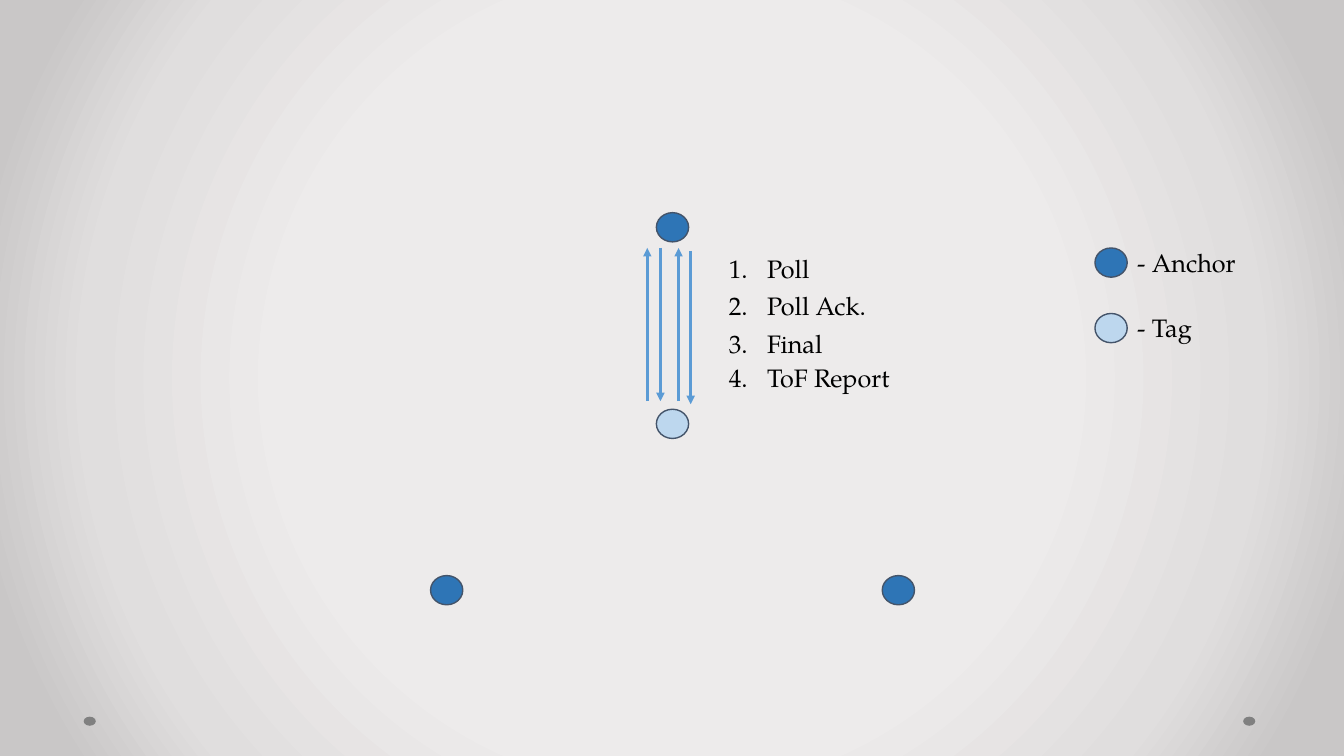
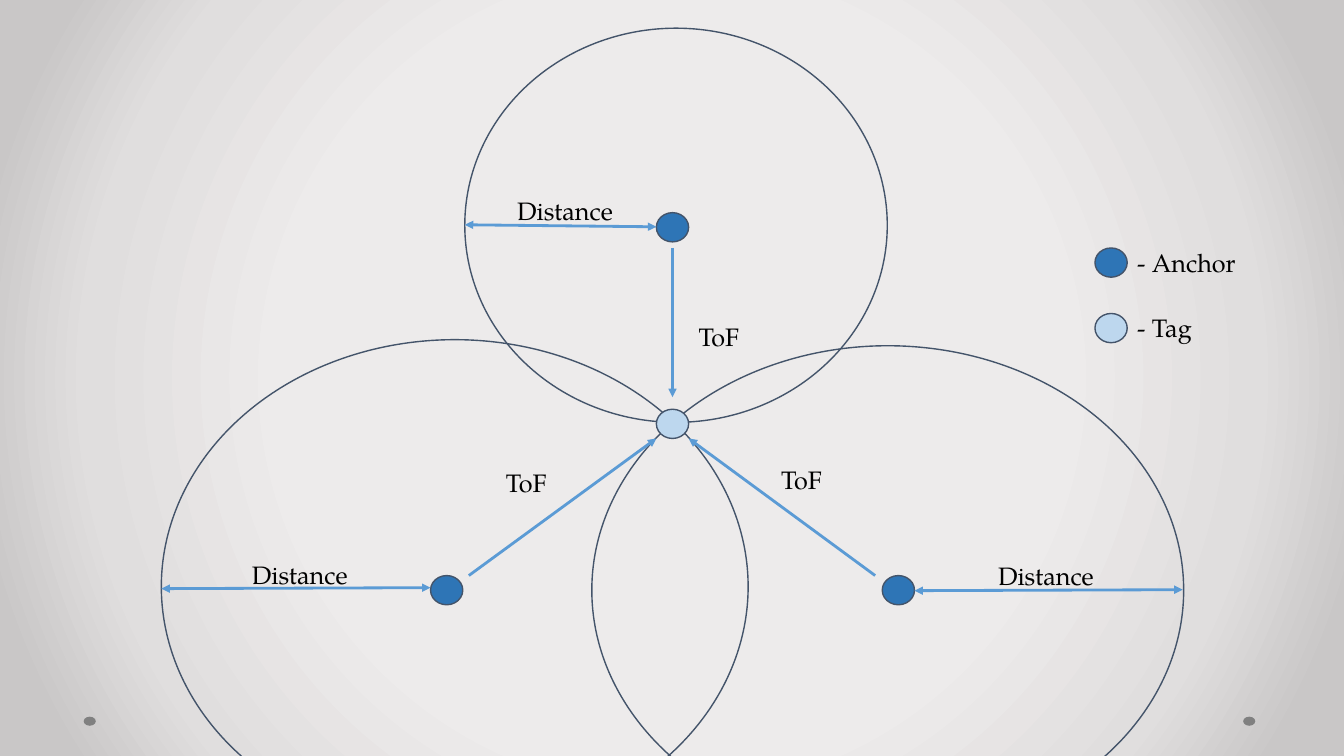
from dataclasses import dataclass

from lxml.etree import SubElement
from pptx import Presentation
from pptx.dml.color import RGBColor as RGB
from pptx.enum.shapes import MSO_CONNECTOR as CONNECTOR, MSO_SHAPE as SHAPE
from pptx.enum.text import MSO_AUTO_SIZE as AUTO_SIZE
from pptx.oxml.ns import qn
from pptx.slide import Slide, SlideMaster
from pptx.util import Inches, Pt


@dataclass(frozen=True)
class Theme:
    font: str = "TeX Gyre Pagella"
    text_size: int = 18
    outline_width: float = 1
    arrow_width: float = 2
    text: str = "000000"
    anchor: str = "2E75B6"
    tag: str = "BDD7EE"
    outline: str = "44546A"
    arrow: str = "5B9BD5"
    dot: str = "808080"
    backdrop: tuple[tuple[int, str], ...] = ((50, "EDEBEB"), (76, "E0DEDE"), (92, "C9C7C7"))


@dataclass(frozen=True)
class Oval:
    left: float
    top: float
    width: float = 0.32
    height: float = 0.29
    fill: str | None = None
    line: str | None = None


@dataclass(frozen=True)
class Arrow:
    x1: float
    y1: float
    x2: float
    y2: float
    double: bool = False


@dataclass(frozen=True)
class Label:
    text: str
    left: float
    top: float
    width: float = 2.15
    number: int | None = None


THEME = Theme()
TEXT_HEIGHT = 0.4
NUMBER_INDENT = 0.38
LEGEND_LEFT, LEGEND_WIDTH = 11.18, 1.32

FOOTER_DOTS = [Oval(left, 7.11, 0.12, 0.09, THEME.dot) for left in (12.33, 0.83)]
ANCHORS = [
    Oval(left, top, fill=THEME.anchor, line=THEME.outline)
    for left, top in ((6.51, 2.11), (4.27, 5.71), (8.75, 5.71), (10.86, 2.46))
]
TAGS = [
    Oval(left, top, fill=THEME.tag, line=THEME.outline)
    for left, top in ((6.51, 4.06), (10.86, 3.11))
]
LEGEND = [
    Label("- Anchor", LEGEND_LEFT, 2.4, LEGEND_WIDTH),
    Label("- Tag", LEGEND_LEFT, 3.05, LEGEND_WIDTH),
]

MESSAGE_ARROWS = [
    Arrow(6.42, 3.98, 6.42, 2.46),
    Arrow(6.55, 2.46, 6.55, 3.98),
    Arrow(6.73, 3.98, 6.73, 2.46),
    Arrow(6.85, 2.49, 6.85, 4.01),
]
MESSAGES = [
    Label(text, 7.13, top, number=number)
    for number, (text, top) in enumerate(
        (("Poll", 2.46), ("Poll Ack.", 2.83), ("Final", 3.21), ("ToF Report", 3.55)), 1
    )
]

RANGE_CIRCLES = [
    Oval(*box, line=THEME.outline)
    for box in ((1.6, 3.37, 5.82, 4.9), (5.87, 3.43, 5.87, 4.85), (4.61, 0.28, 4.19, 3.91))
]
RANGE_ARROWS = [
    Arrow(4.65, 5.71, 6.51, 4.35),
    Arrow(8.68, 5.71, 6.83, 4.35),
    Arrow(6.67, 2.46, 6.67, 3.94),
    Arrow(11.73, 5.85, 9.07, 5.86, double=True),
    Arrow(4.27, 5.83, 1.6, 5.84, double=True),
    Arrow(6.51, 2.25, 4.61, 2.23, double=True),
]
RANGE_LABELS = [
    Label("ToF", 7.65, 4.56),
    Label("ToF", 4.92, 4.59),
    Label("ToF", 6.83, 3.14),
    Label("Distance", 2.4, 5.5),
    Label("Distance", 5.03, 1.89),
    Label("Distance", 9.8, 5.51),
]


def color(value: str) -> RGB:
    return RGB.from_string(value)


def paint_backdrop(master: SlideMaster) -> None:
    master.background.fill.gradient()
    grad = master.element.xpath("p:cSld/p:bg//a:gradFill")[0]
    for child in list(grad):
        grad.remove(child)
    stops = SubElement(grad, qn("a:gsLst"))
    for position, value in THEME.backdrop:
        stop = SubElement(stops, qn("a:gs"), pos=str(position * 1000))
        SubElement(stop, qn("a:srgbClr"), val=value)
    circle = SubElement(grad, qn("a:path"), path="circle")
    SubElement(circle, qn("a:fillToRect"), l="50000", t="50000", r="50000", b="50000")


def draw_oval(s: Slide, oval: Oval) -> None:
    sp = s.shapes.add_shape(
        SHAPE.OVAL, Inches(oval.left), Inches(oval.top), Inches(oval.width), Inches(oval.height)
    )
    sp.shadow.inherit = False
    if oval.fill:
        sp.fill.solid()
        sp.fill.fore_color.rgb = color(oval.fill)
    else:
        sp.fill.background()
    if oval.line:
        sp.line.color.rgb = color(oval.line)
        sp.line.width = Pt(THEME.outline_width)
    else:
        sp.line.fill.background()


def draw_arrow(s: Slide, arrow: Arrow) -> None:
    cxn = s.shapes.add_connector(
        CONNECTOR.STRAIGHT, Inches(arrow.x1), Inches(arrow.y1), Inches(arrow.x2), Inches(arrow.y2)
    )
    cxn.line.color.rgb = color(THEME.arrow)
    cxn.line.width = Pt(THEME.arrow_width)
    sp_pr = cxn.element.spPr
    ln = sp_pr.find(qn("a:ln"))
    if arrow.double:
        SubElement(ln, qn("a:headEnd"), type="triangle")
    SubElement(ln, qn("a:tailEnd"), type="triangle")
    SubElement(sp_pr, qn("a:effectLst"))


def draw_label(s: Slide, label: Label) -> None:
    sp = s.shapes.add_textbox(
        Inches(label.left), Inches(label.top), Inches(label.width), Inches(TEXT_HEIGHT)
    )
    tf = sp.text_frame
    tf.word_wrap = True
    tf.auto_size = AUTO_SIZE.SHAPE_TO_FIT_TEXT
    p = tf.paragraphs[0]
    if label.number:
        p_pr = p._p.get_or_add_pPr()
        p_pr.set("marL", str(Inches(NUMBER_INDENT)))
        p_pr.set("indent", str(-Inches(NUMBER_INDENT)))
        SubElement(p_pr, qn("a:buFont"), typeface=THEME.font)
        SubElement(p_pr, qn("a:buAutoNum"), type="arabicPeriod", startAt=str(label.number))
    r = p.add_run()
    r.text = label.text
    r.font.name = THEME.font
    r.font.size = Pt(THEME.text_size)
    r.font.color.rgb = color(THEME.text)


def add_network_slide(
    prs: Presentation, arrows: list[Arrow], labels: list[Label], circles: list[Oval]
) -> None:
    s = prs.slides.add_slide(prs.slide_layouts[6])
    for oval in FOOTER_DOTS + circles + ANCHORS + TAGS:
        draw_oval(s, oval)
    for arrow in arrows:
        draw_arrow(s, arrow)
    for label in LEGEND + labels:
        draw_label(s, label)


prs = Presentation()
prs.slide_width, prs.slide_height = Inches(13.33), Inches(7.5)
paint_backdrop(prs.slide_master)
add_network_slide(prs, MESSAGE_ARROWS, MESSAGES, [])
add_network_slide(prs, RANGE_ARROWS, RANGE_LABELS, RANGE_CIRCLES)
prs.save("out.pptx")
